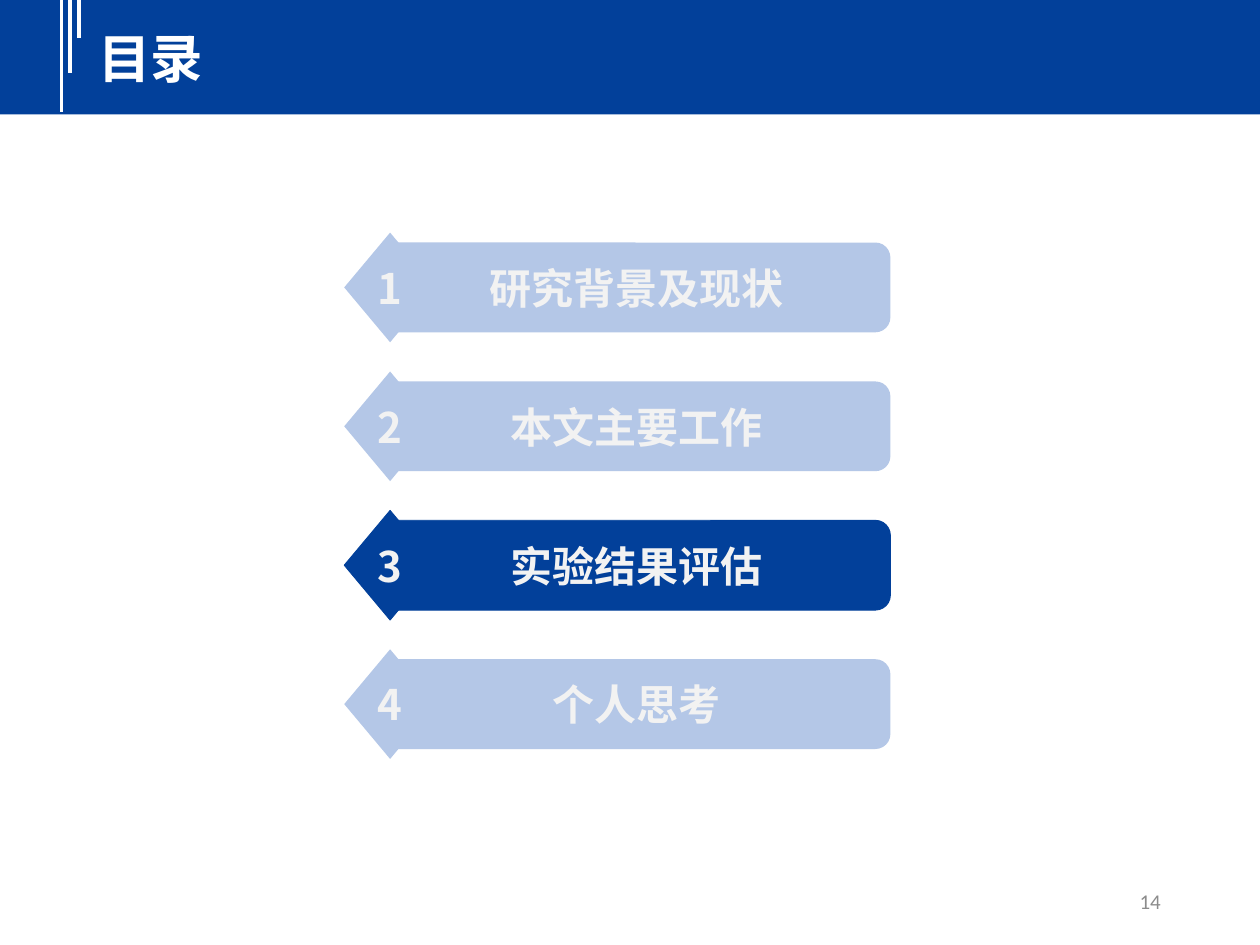
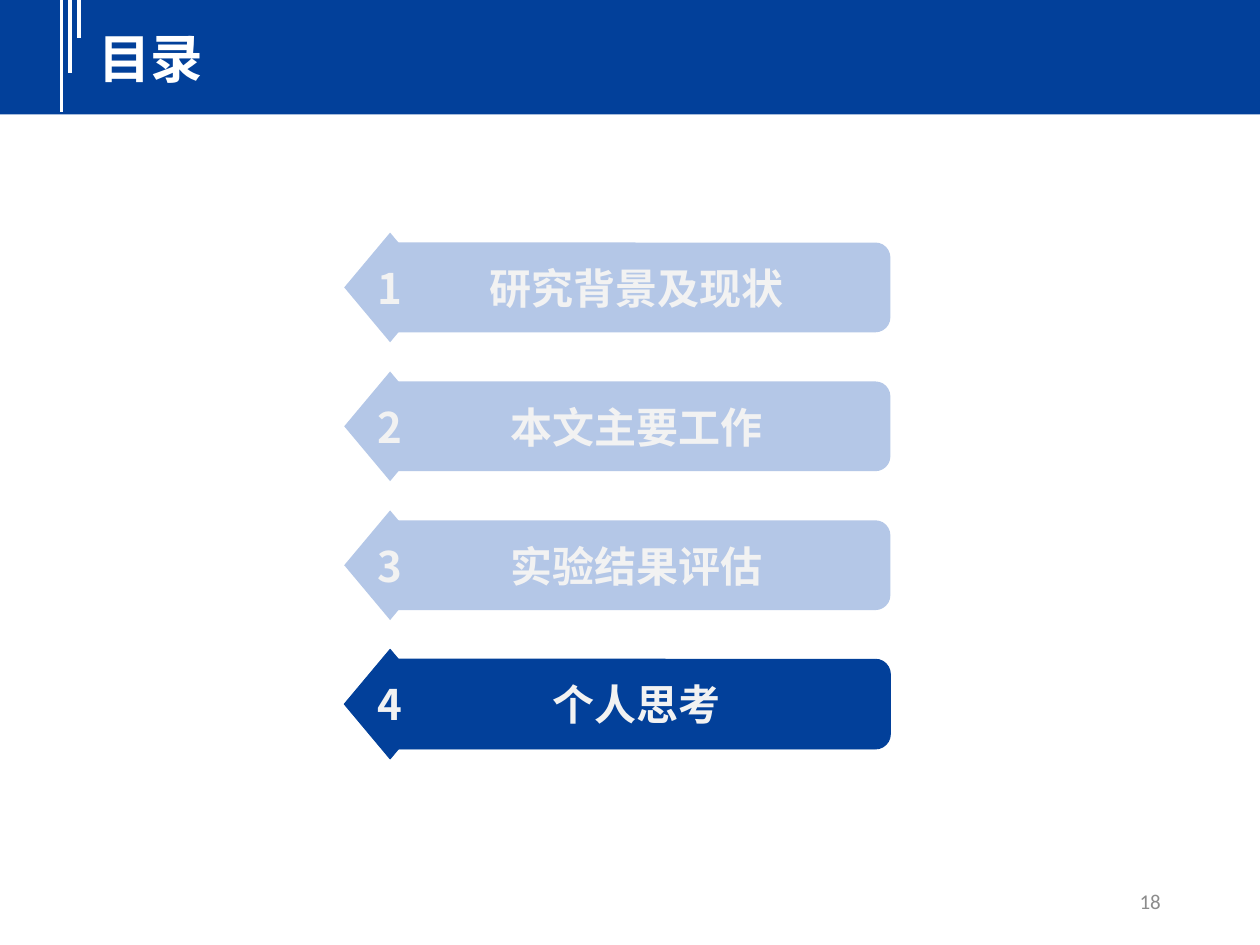
import pptx
import pptx.util
import pptx.dml.color
import pptx.enum.shapes
import pptx.enum.text
import pptx.oxml.ns
from lxml import etree
from pptx.util import Cm, Pt

NAVY = "02409A"
PALE = "B4C7E7"
WHITE = "FFFFFF"
OFF_WHITE = "F2F2F2"
GREY = "8C8C8C"
LATIN_FONT = "Calibri"
CHINESE_FONT = "Noto Sans CJK SC"

SHAPE = pptx.enum.shapes.MSO_SHAPE
ALIGN = pptx.enum.text.PP_ALIGN
ANCHOR = pptx.enum.text.MSO_ANCHOR

SLIDE_SIZE = (25.4, 19.05)
HEADER_BOX = (0, -0.08, 25.4, 2.39)
AGENDA_BOX = (6.94, 4.69, 11.01, 10.61)
PAGE_NUMBER_BOX = (17.93, 17.65, 5.72, 1.02)

TITLE = "目录"
CHAPTERS = ["研究背景及现状", "本文主要工作", "实验结果评估", "个人思考"]
AGENDA_SLIDES = [(14, 3), (18, 4)]


def color(hex_text):
    return pptx.dml.color.RGBColor.from_string(hex_text)


def write(shape, text, size, ink, font=LATIN_FONT, bold=False,
          align=ALIGN.LEFT, anchor=ANCHOR.TOP, wrap=True):
    frame = shape.text_frame
    frame.word_wrap = wrap
    frame.vertical_anchor = anchor
    paragraph = frame.paragraphs[0]
    paragraph.alignment = align
    run = paragraph.add_run()
    run.text = text
    run.font.size = Pt(size)
    run.font.bold = bold
    run.font.color.rgb = color(ink)
    run.font.name = font
    east_asian = etree.Element(pptx.oxml.ns.qn("a:ea"), typeface=CHINESE_FONT)
    run.font._element.find(pptx.oxml.ns.qn("a:latin")).addnext(east_asian)


def add_block(shapes, kind, box, fill, outlined=False):
    block = shapes.add_shape(kind, *map(Cm, box))
    block.shadow.inherit = False
    block.fill.solid()
    block.fill.fore_color.rgb = color(fill)
    if outlined:
        block.line.color.rgb = color(fill)
        block.line.width = Pt(0.5)
    else:
        block.line.fill.background()
    return block


def add_stripe(shapes, x, top, length):
    stripe = shapes.add_connector(pptx.enum.shapes.MSO_CONNECTOR.STRAIGHT,
                                  Cm(x), Cm(top), Cm(x), Cm(top + length))
    stripe.line.color.rgb = color(WHITE)
    stripe.line.width = Pt(2.25)
    etree.SubElement(stripe._element.spPr, pptx.oxml.ns.qn("a:effectLst"))


def add_header(slide, box, title):
    left, top, width, height = box
    add_block(slide.shapes, SHAPE.RECTANGLE, box, NAVY)
    for index, length in enumerate([2.34, 1.55, 0.84]):
        add_stripe(slide.shapes, left + 1.24 + 0.18 * index, top, length)
    heading = slide.shapes.add_textbox(Cm(left + 1.73), Cm(top + 0.49),
                                       Cm(width - 2.24), Cm(1.52))
    write(heading, title, 30, WHITE, font=CHINESE_FONT, bold=True)


def add_chapter(slide, box, number, name, active):
    left, top, width, height = box
    fill = NAVY if active else PALE
    chapter = slide.shapes.add_group_shape().shapes
    style = dict(size=24, ink=OFF_WHITE, bold=True, align=ALIGN.CENTER,
                 anchor=ANCHOR.MIDDLE, wrap=False)
    bar = add_block(chapter, SHAPE.ROUNDED_RECTANGLE,
                    (left + 0.78, top + 0.2, width - 0.78, height - 0.4),
                    fill, active)
    write(bar, name, **style)
    marker = add_block(chapter, SHAPE.DIAMOND, (left, top, 1.85, height), fill, active)
    write(marker, str(number), font=CHINESE_FONT, **style)


def add_agenda(slide, box, chapters, current):
    left, top, width, height = box
    row_height = 2.21
    pitch = (height - row_height) / (len(chapters) - 1)
    for index, name in enumerate(chapters):
        row = (left, top + pitch * index, width, row_height)
        add_chapter(slide, row, index + 1, name, index + 1 == current)


def add_page_number(slide, box, number):
    footer = slide.shapes.add_textbox(*map(Cm, box))
    write(footer, str(number), 12, GREY, align=ALIGN.RIGHT, anchor=ANCHOR.MIDDLE)


def add_agenda_slide(deck, page, current):
    slide = deck.slides.add_slide(deck.slide_layouts[6])
    add_header(slide, HEADER_BOX, TITLE)
    add_agenda(slide, AGENDA_BOX, CHAPTERS, current)
    add_page_number(slide, PAGE_NUMBER_BOX, page)


def main():
    deck = pptx.Presentation()
    deck.slide_width, deck.slide_height = map(Cm, SLIDE_SIZE)
    for page, current in AGENDA_SLIDES:
        add_agenda_slide(deck, page, current)
    deck.save("out.pptx")


if __name__ == "__main__":
    main()
